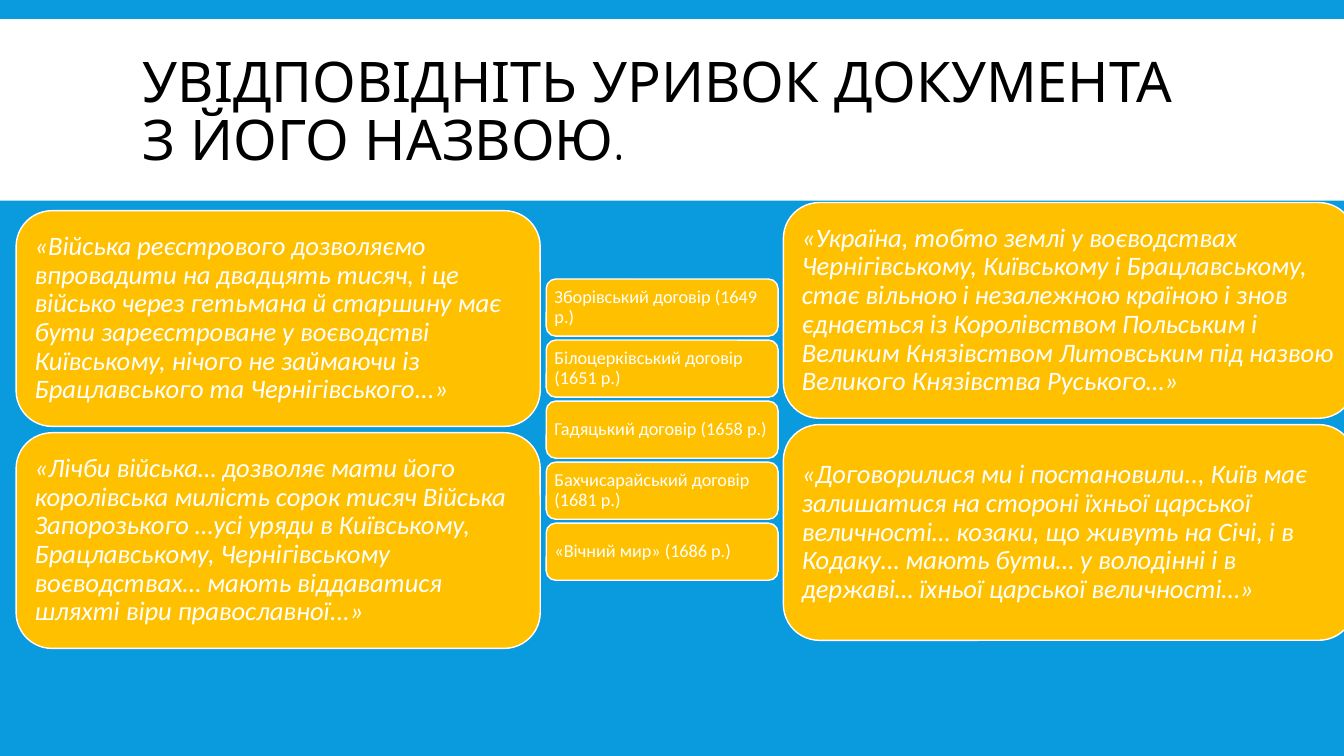
from pptx import Presentation
from pptx.dml.color import RGBColor
from pptx.enum.shapes import MSO_SHAPE as Shape
from pptx.enum.text import MSO_ANCHOR as Anchor, PP_ALIGN as Align
from pptx.util import Pt

# Content
TITLE = "УВІДПОВІДНІТЬ УРИВОК ДОКУМЕНТА З ЙОГО НАЗВОЮ."
LEFT_EXCERPTS = [
    "«Війська реєстрового дозволяємо впровадити на двадцять тисяч, і це військо через "
    "гетьмана й старшину має бути зареєстроване у воєводстві Київському, нічого не "
    "займаючи із Брацлавського та Чернігівського...»",
    "«Лічби війська… дозволяє мати його королівська милість сорок тисяч Війська "
    "Запорозького …усі уряди в Київському, Брацлавському, Чернігівському воєводствах… "
    "мають віддаватися шляхті віри православної...»",
]
TREATIES = [
    "Зборівський договір (1649 р.)",
    "Білоцерківський договір (1651 р.)",
    "Гадяцький договір (1658 р.)",
    "Бахчисарайський договір (1681 р.)",
    "«Вічний мир» (1686 р.)",
]
RIGHT_EXCERPTS = [
    "«Україна, тобто землі у воєводствах Чернігівському, Київському і Брацлавському, "
    "стає вільною і незалежною країною і знов єднається із Королівством Польським і "
    "Великим Князівством Литовським під назвою Великого Князівства Руського…»",
    "«Договорилися ми і постановили.., Київ має залишатися на стороні їхньої царської "
    "величності… козаки, що живуть на Січі, і в Кодаку… мають бути… у володінні і в "
    "державі… їхньої царської величності…»",
]

THEME = {
    "background": RGBColor(0x09, 0x9B, 0xDD),
    "card": RGBColor(0xFF, 0xC0, 0x00),
    "white": RGBColor(0xFF, 0xFF, 0xFF),
    "black": RGBColor(0, 0, 0),
    "title_font": "Quicksand",
    "body_font": "Calibri",
    "title_size": 40,
    "excerpt_size": 19,
    "treaty_size": 13,
}
EXCERPT = {"height": 154.1, "pitch": 158.6, "size": THEME["excerpt_size"], "italic": True}
TREATY = {"height": 40.8, "pitch": 43.6, "size": THEME["treaty_size"], "italic": False}

# Columns: texts, left, top, width, card style
COLUMNS = [
    (LEFT_EXCERPTS, 11.5, 150.5, 374.4, EXCERPT),
    (TREATIES, 390.2, 199.3, 165.6, TREATY),
    (RIGHT_EXCERPTS, 559.6, 144.7, 408.2, EXCERPT),
]


def write(shape, text, font_name, size, color, spacing, italic=False):
    frame = shape.text_frame
    frame.word_wrap = True
    frame.vertical_anchor = Anchor.MIDDLE
    frame.text = text
    paragraph = frame.paragraphs[0]
    paragraph.alignment = Align.LEFT
    paragraph.line_spacing = spacing
    font = paragraph.runs[0].font
    font.name, font.size, font.italic = font_name, Pt(size), italic
    font.color.rgb = color


def add_box(slide, kind, left, top, width, height, color):
    shape = slide.shapes.add_shape(kind, Pt(left), Pt(top), Pt(width), Pt(height))
    shape.shadow.inherit = False
    shape.fill.solid()
    shape.fill.fore_color.rgb = color
    return shape


def add_card(slide, text, left, top, width, style):
    card = add_box(slide, Shape.ROUNDED_RECTANGLE, left, top, width, style["height"], THEME["card"])
    card.line.color.rgb = THEME["white"]
    card.line.width = Pt(1)
    frame = card.text_frame
    inset = Pt(style["size"] * 0.3)
    frame.margin_left = frame.margin_right = frame.margin_top = frame.margin_bottom = inset
    write(card, text, THEME["body_font"], style["size"], THEME["white"], 0.9, style["italic"])


def main():
    presentation = Presentation()
    presentation.slide_width, presentation.slide_height = Pt(960), Pt(540)
    slide = presentation.slides.add_slide(presentation.slide_layouts[6])
    slide.background.fill.solid()
    slide.background.fill.fore_color.rgb = THEME["background"]

    # Title band
    band = add_box(slide, Shape.RECTANGLE, 0, 13.7, 960, 129.6, THEME["white"])
    band.line.fill.background()
    title = slide.shapes.add_textbox(Pt(95), Pt(22.3), Pt(770.4), Pt(118.8))
    write(title, TITLE, THEME["title_font"], THEME["title_size"], THEME["black"], 0.85)

    # Card columns
    for texts, left, top, width, style in COLUMNS:
        for row, text in enumerate(texts):
            add_card(slide, text, left, top + row * style["pitch"], width, style)

    presentation.save("out.pptx")


if __name__ == "__main__":
    main()
